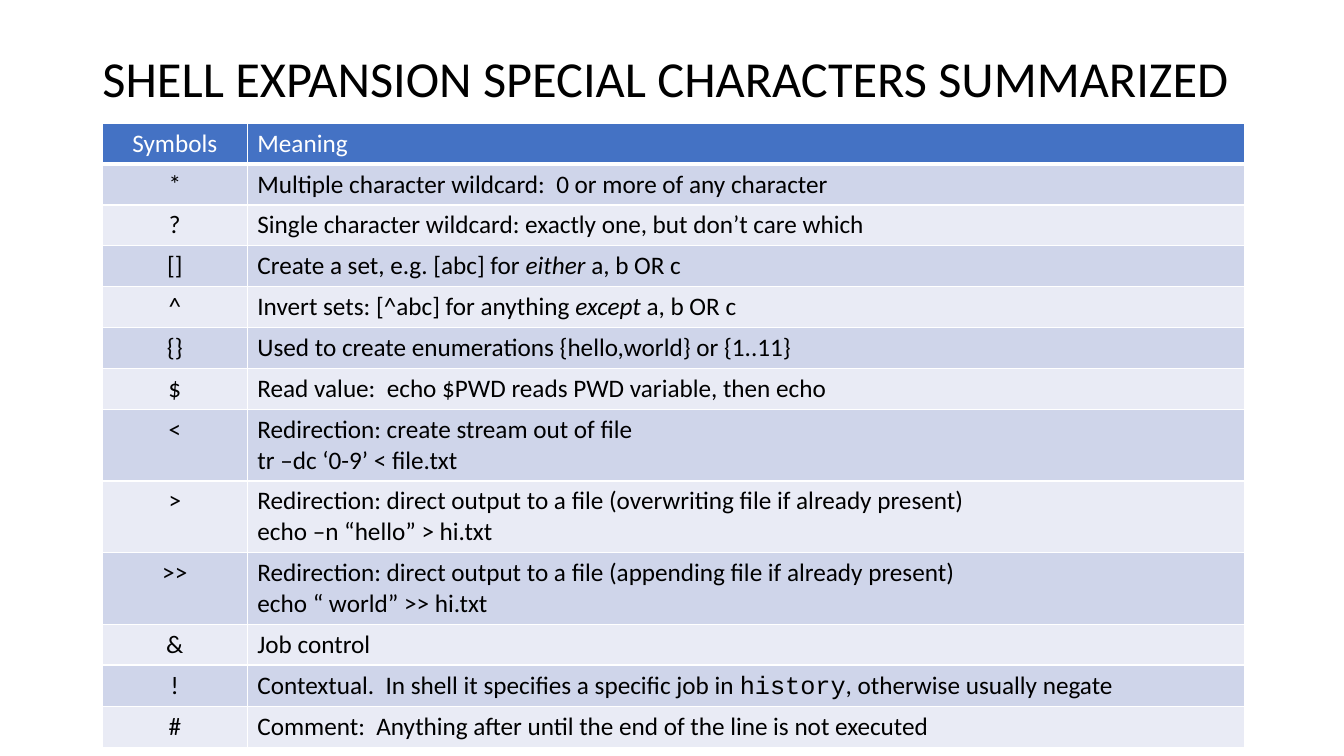
from lxml.etree import SubElement
from pptx import Presentation
from pptx.dml.color import RGBColor
from pptx.enum.text import MSO_ANCHOR, MSO_AUTO_SIZE, PP_ALIGN
from pptx.oxml.ns import qn
from pptx.util import Pt

HEADER_FILL = "4472C4"
BAND_FILLS = ("CFD5EA", "E9EBF5")
WHITE = "FFFFFF"
BLACK = "000000"
ITALIC = {"italic": True}
CODE = {"name": "Courier New"}
COLUMN_WIDTHS = (103.7, 712.1)
HEADER_HEIGHT = 27.4
ROW_HEIGHT = 29.2

ROWS = [
    ("Symbols", [("Meaning", {})]),
    ("*", [("Multiple character wildcard:  0 or more of any character", {})]),
    ("?", [("Single character wildcard: exactly one, but don’t care which", {})]),
    ("[]", [("Create a set, e.g. [abc] for ", {}), ("either", ITALIC), (" a, b OR c", {})]),
    ("^", [("Invert sets: [^abc] for anything ", {}), ("except", ITALIC), (" a, b OR c", {})]),
    ("{}", [("Used to create enumerations {hello,world} or {1..11}", {})]),
    ("$", [("Read value:  echo $PWD reads PWD variable, then echo", {})]),
    ("<", [("Redirection: create stream out of file\ntr –dc ‘0-9’ < file.txt", {})]),
    (">", [("Redirection: direct output to a file (overwriting file if already present)\n"
            "echo –n “hello” > hi.txt", {})]),
    (">>", [("Redirection: direct output to a file (appending file if already present)\n"
             "echo “ world” >> hi.txt", {})]),
    ("&", [("Job control", {})]),
    ("!", [("Contextual.  In shell it specifies a specific job in ", {}), ("history", CODE),
           (", otherwise usually negate", {})]),
    ("#", [("Comment:  Anything after until the end of the line is not executed", {})]),
]


def color(value):
    """Turn a hex string into a colour."""
    return RGBColor.from_string(value)


def set_attributes(target, values):
    """Set each named attribute of the target."""
    for name, value in values.items():
        setattr(target, name, value)


def add_spans(para, spans, size, ink):
    """Write formatted spans into a paragraph, breaking lines at newlines."""
    for text, style in spans:
        for index, line in enumerate(text.split("\n")):
            if index:
                para.add_line_break()
            span = para.add_run()
            span.text = line
            base = {"name": "Calibri", "size": Pt(size), "bold": False, "italic": False}
            set_attributes(span.font, {**base, **style})
            span.font.color.rgb = color(ink)


def set_borders(cell, widths):
    """Give the cell white borders of the given widths by side."""
    properties = cell._tc.get_or_add_tcPr()
    for side, width in widths.items():
        line = SubElement(properties, qn(f"a:ln{side}"), w=str(Pt(width)))
        fill = SubElement(line, qn("a:solidFill"))
        SubElement(fill, qn("a:srgbClr"), val=WHITE)


def add_title(slide, text):
    """Place and fill the title placeholder."""
    title = slide.shapes.title
    set_attributes(title, {"left": Pt(66), "top": Pt(28.8), "width": Pt(828), "height": Pt(58.3)})
    set_attributes(title.text_frame, {"vertical_anchor": MSO_ANCHOR.MIDDLE, "word_wrap": True,
                                      "auto_size": MSO_AUTO_SIZE.NONE})
    para = title.text_frame.paragraphs[0]
    set_attributes(para, {"alignment": PP_ALIGN.LEFT, "line_spacing": 0.9})
    add_spans(para, [(text, {})], 36, BLACK)


def fill_cell(cell, spans, alignment, row_index):
    """Fill a table cell in the style of its row."""
    header = row_index == 0
    set_borders(cell, {"L": 1, "R": 1, "T": 1, "B": 3 if header else 1})
    cell.fill.solid()
    cell.fill.fore_color.rgb = color(HEADER_FILL if header else BAND_FILLS[(row_index - 1) % 2])
    para = cell.text_frame.paragraphs[0]
    para.alignment = alignment
    add_spans(para, spans, 18, WHITE if header else BLACK)


def add_symbol_table(slide, rows):
    """Add the table of symbols and their meanings."""
    height = HEADER_HEIGHT + ROW_HEIGHT * (len(rows) - 1)
    frame = slide.shapes.add_table(len(rows), len(COLUMN_WIDTHS), Pt(73), Pt(88),
                                   Pt(sum(COLUMN_WIDTHS)), Pt(height))
    table = frame.table
    for column, width in zip(table.columns, COLUMN_WIDTHS):
        column.width = Pt(width)
    for index, (symbol, meaning) in enumerate(rows):
        table.rows[index].height = Pt(ROW_HEIGHT if index else HEADER_HEIGHT)
        fill_cell(table.cell(index, 0), [(symbol, {})], PP_ALIGN.CENTER, index)
        fill_cell(table.cell(index, 1), meaning, PP_ALIGN.LEFT, index)


def main():
    """Build and save the slide."""
    deck = Presentation()
    set_attributes(deck, {"slide_width": Pt(960), "slide_height": Pt(540)})
    slide = deck.slides.add_slide(deck.slide_layouts[5])
    add_title(slide, "SHELL EXPANSION SPECIAL CHARACTERS SUMMARIZED")
    add_symbol_table(slide, ROWS)
    deck.save("out.pptx")


main()
